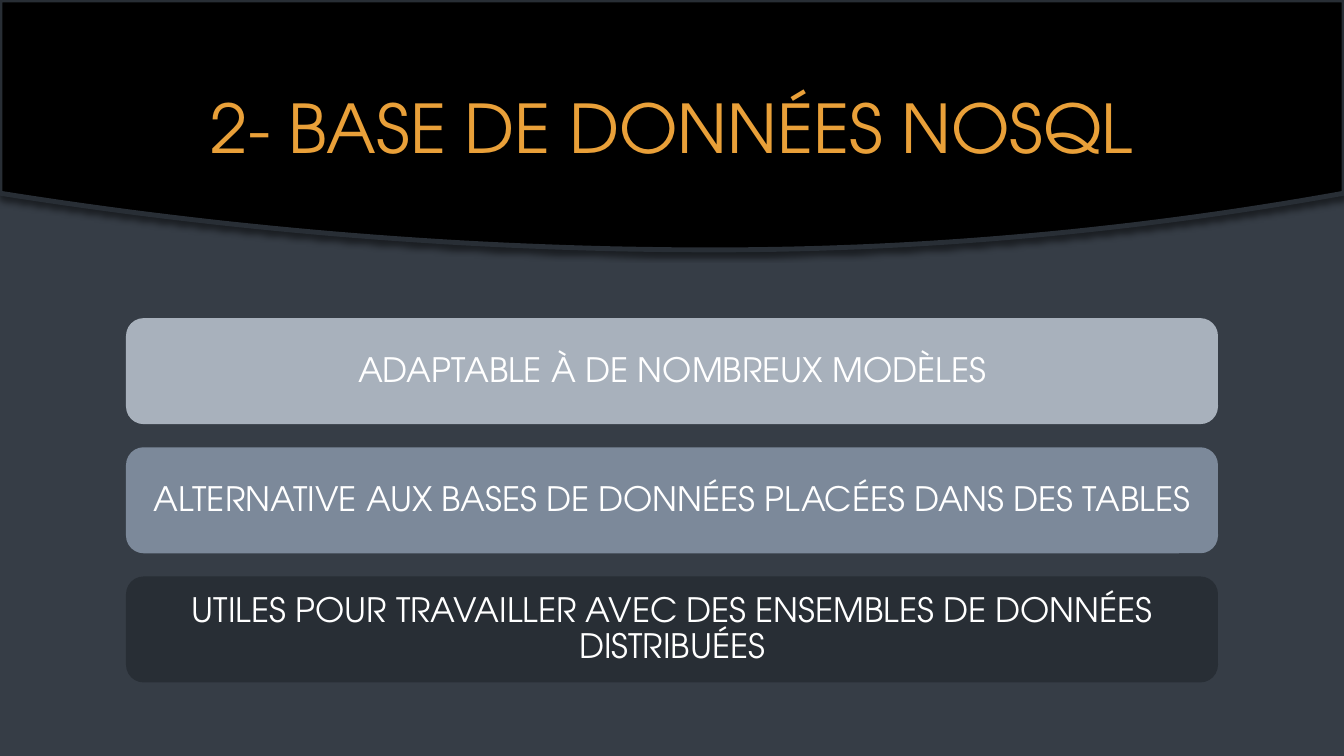
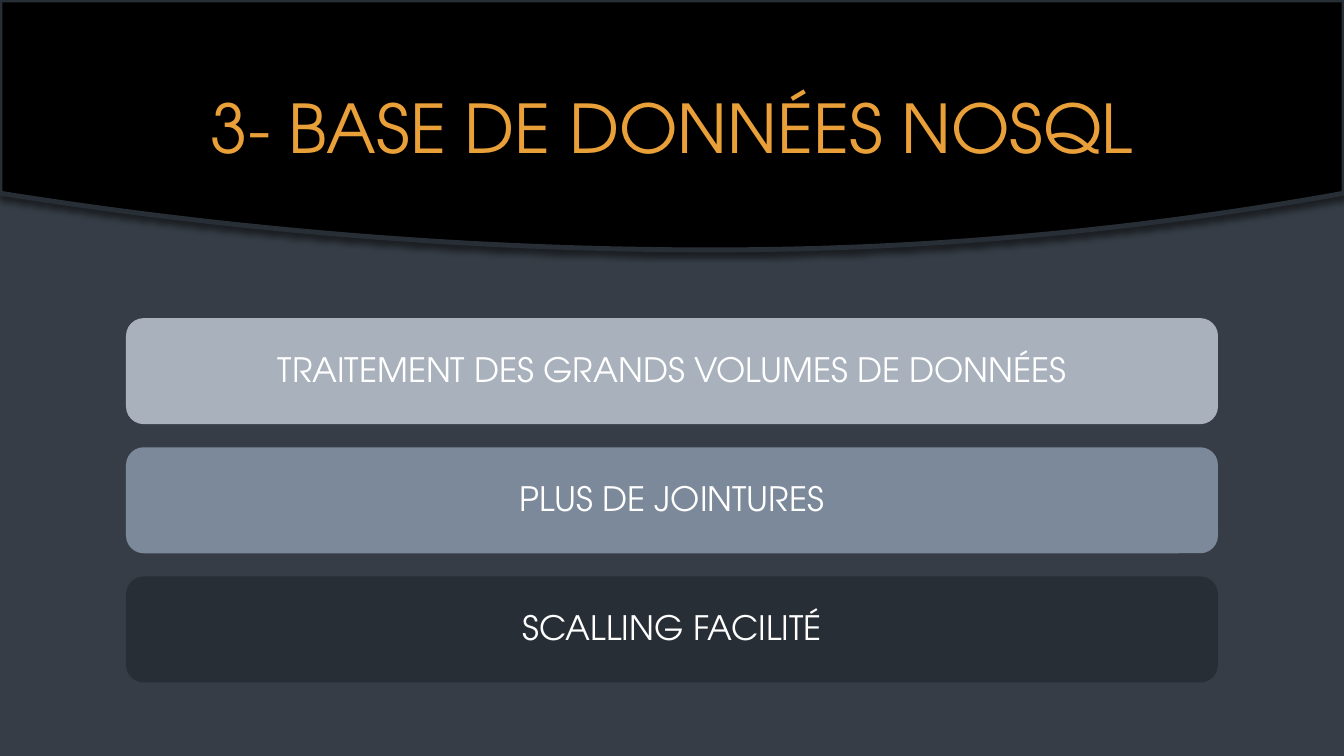
from lxml import etree
from pptx import Presentation
from pptx.dml.color import RGBColor
from pptx.enum import shapes, text
from pptx.oxml import ns
from pptx.util import Pt

PX = 9525
WIDE, HIGH = 1280, 720
FONT = "TeX Gyre Adventor"
SLATE = RGBColor(0x36, 0x3D, 0x46)
BLACK = RGBColor(0x00, 0x00, 0x00)
WHITE = RGBColor(0xFF, 0xFF, 0xFF)
AMBER = RGBColor(0xE9, 0xA0, 0x39)
SILVER = RGBColor(0xA8, 0xB1, 0xBC)
STEEL = RGBColor(0x7C, 0x89, 0x9A)
COAL = RGBColor(0x28, 0x2E, 0x35)

LEFT, SPAN = 120, 1040
TOP, TALL, STEP = 303, 101, 123
EDGE, SAG, PEAK = 184, 54, 680
FILLS = [SILVER, STEEL, COAL]
DECK = [
    ("2- BASE DE DONNÉES NOSQL", [
        "ADAPTABLE À DE NOMBREUX MODÈLES",
        "ALTERNATIVE AUX BASES DE DONNÉES PLACÉES DANS DES TABLES",
        "UTILES POUR TRAVAILLER AVEC DES ENSEMBLES DE DONNÉES DISTRIBUÉES",
    ]),
    ("3- BASE DE DONNÉES NOSQL", [
        "TRAITEMENT DES GRANDS VOLUMES DE DONNÉES",
        "PLUS DE JOINTURES",
        "SCALLING FACILITÉ",
    ]),
]


def write(shape, words, size, color):
    frame = shape.text_frame
    frame.text = words
    look = {"word_wrap": True, "auto_size": text.MSO_AUTO_SIZE.NONE,
            "vertical_anchor": text.MSO_ANCHOR.MIDDLE}
    for key, value in look.items():
        setattr(frame, key, value)
    para = frame.paragraphs[0]
    para.alignment = text.PP_ALIGN.CENTER
    para.line_spacing = 0.9
    font = para.runs[0].font
    for key, value in {"name": FONT, "size": Pt(size)}.items():
        setattr(font, key, value)
    font.color.rgb = color


def place(shape, *box):
    for key, value in zip(("left", "top", "width", "height"), box):
        setattr(shape, key, value * PX)


curve = []
for x in range(WIDE, -1, -20):
    reach = WIDE - PEAK if x > PEAK else PEAK
    y = EDGE + SAG * (1 - ((x - PEAK) / reach) ** 2)
    curve.append((x * PX, round(y * PX)))

prs = Presentation()
prs.slide_width, prs.slide_height = WIDE * PX, HIGH * PX
back = prs.slide_master.background.fill
back.solid()
back.fore_color.rgb = SLATE

for head, rows in DECK:
    slide = prs.slides.add_slide(prs.slide_layouts[5])
    title = slide.shapes.title

    pen = slide.shapes.build_freeform(0, 0)
    pen.add_line_segments([(WIDE * PX, 0)] + curve)
    band = pen.convert_to_shape()
    band.fill.solid()
    band.fill.fore_color.rgb = BLACK
    band.line.color.rgb = COAL
    band.line.width = Pt(3.5)
    band.shadow.inherit = False
    glow = band.element.spPr.find(ns.qn("a:effectLst"))
    cast = etree.SubElement(glow, ns.qn("a:outerShdw"), blurRad=str(Pt(4)),
                            dist=str(Pt(3)), dir="5400000", rotWithShape="0")
    tint = etree.SubElement(cast, ns.qn("a:srgbClr"), val=str(BLACK))
    etree.SubElement(tint, ns.qn("a:alpha"), val="50000")
    title.element.addprevious(band.element)

    place(title, LEFT, 64, SPAN, 123)
    write(title, head, 48, AMBER)

    for i, (words, fill) in enumerate(zip(rows, FILLS)):
        card = slide.shapes.add_shape(shapes.MSO_SHAPE.ROUNDED_RECTANGLE, 0, 0, 0, 0)
        place(card, LEFT, TOP + i * STEP, SPAN, TALL)
        card.shadow.inherit = False
        card.fill.solid()
        card.fill.fore_color.rgb = fill
        card.line.fill.background()
        write(card, words, 24, WHITE)

prs.save("out.pptx")
